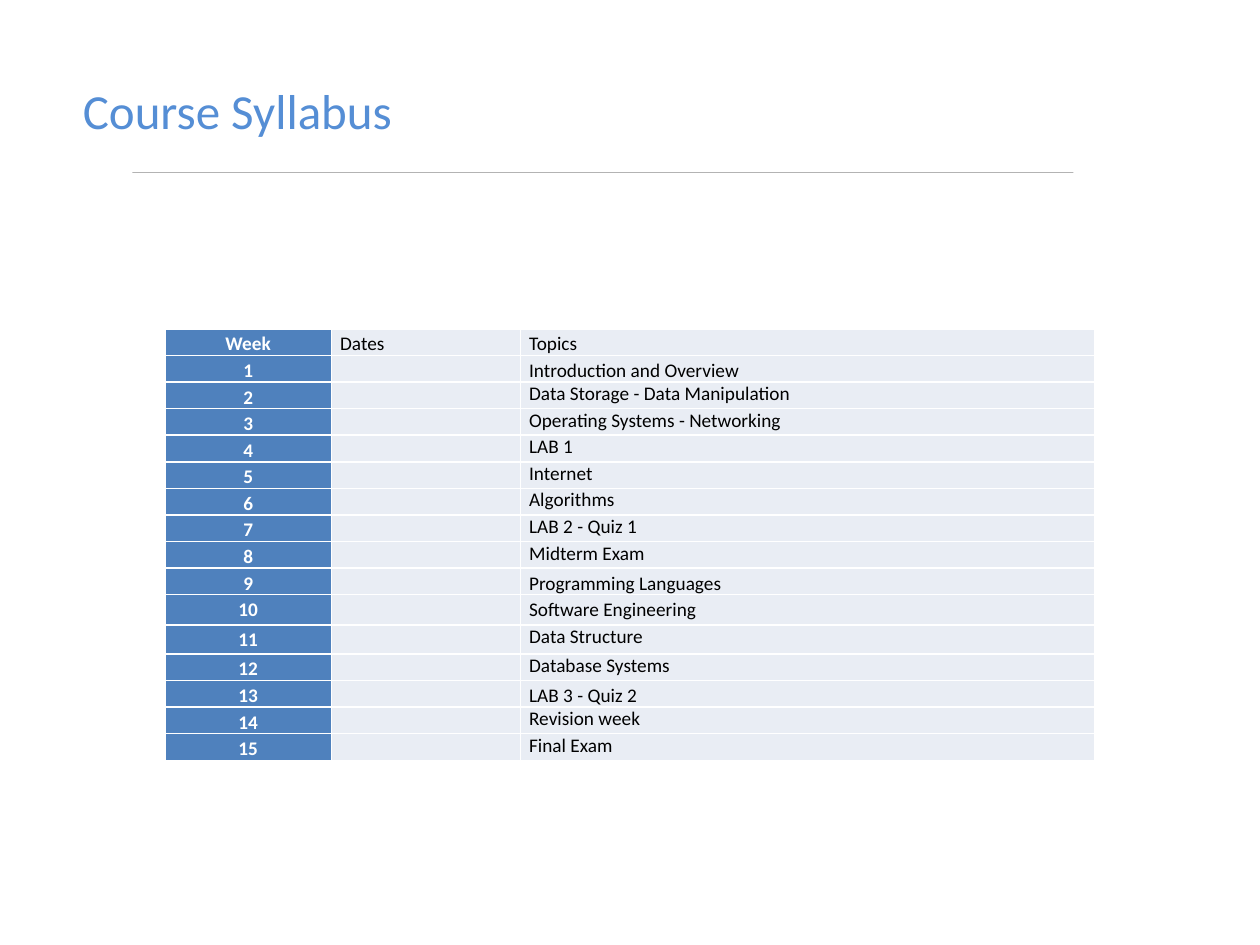
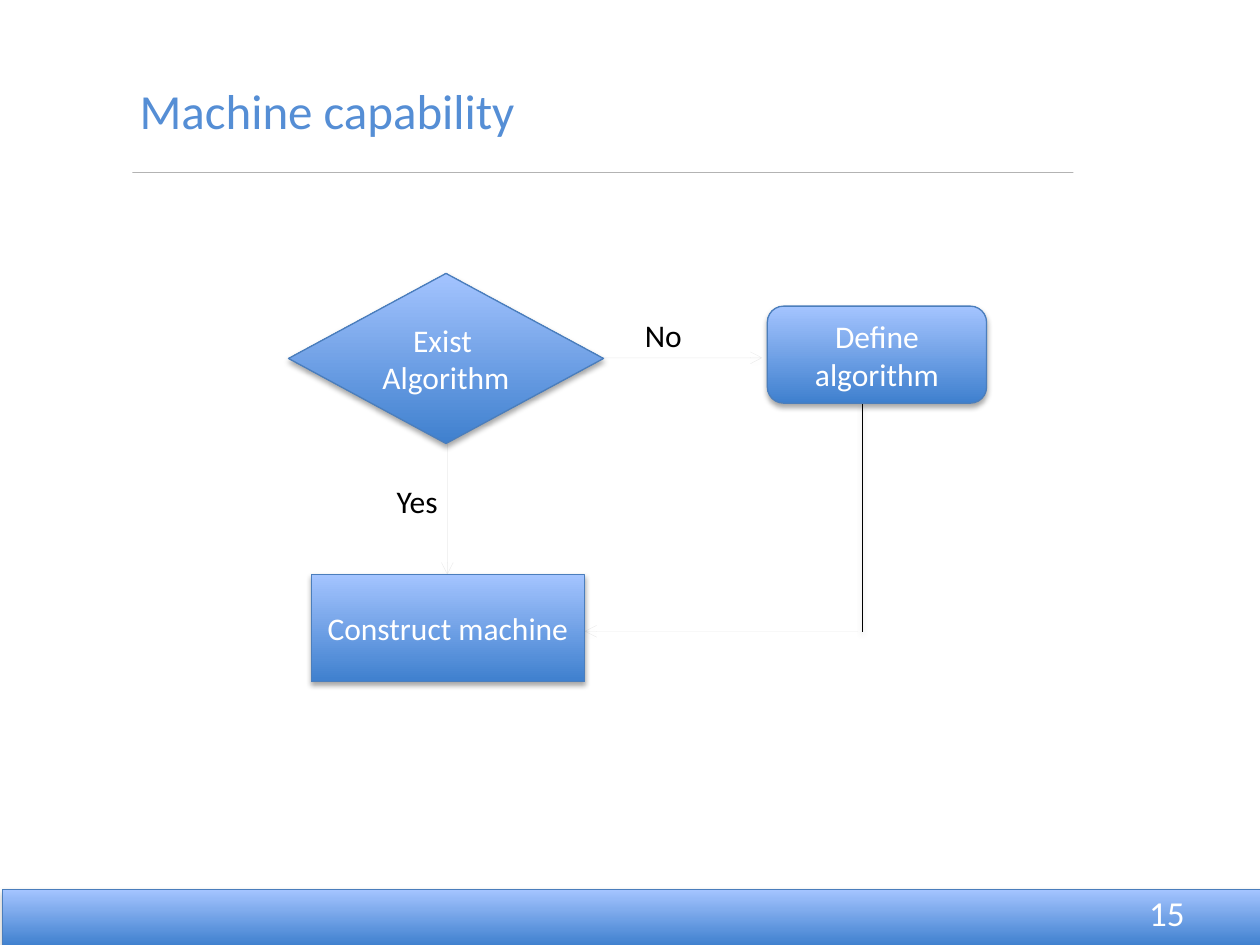
"""Build a course syllabus slide and a machine capability flowchart slide."""
from lxml.etree import SubElement
from pptx import Presentation
from pptx.dml.color import RGBColor
from pptx.enum.shapes import MSO_CONNECTOR, MSO_SHAPE
from pptx.enum.text import MSO_ANCHOR, PP_ALIGN
from pptx.oxml import parse_xml
from pptx.oxml.ns import qn
from pptx.util import Inches, Pt
from dataclasses import dataclass


@dataclass(frozen=True)
class Theme:
    font: str = "Calibri"
    title: str = "558ED5"
    black: str = "000000"
    white: str = "FFFFFF"
    week_fill: str = "4F81BD"
    cell_fill: str = "E9EDF4"
    gradient: tuple = ("3F80CE", "A4C4FF")
    outline: str = "4B7EBC"
    title_size: int = 28
    number_size: int = 20
    body_size: int = 18
    table_size: int = 11
    shadow: str = (
        '<a:effectLst xmlns:a="http://schemas.openxmlformats.org/drawingml/2006/main">'
        '<a:outerShdw blurRad="39370" dist="{distance}" dir="5400000" rotWithShape="0">'
        '<a:srgbClr val="000000"><a:alpha val="{alpha}"/></a:srgbClr>'
        "</a:outerShdw></a:effectLst>"
    )


theme = Theme()


def write_text(frame, lines, size, color, align=PP_ALIGN.LEFT, bold=False, spacing=None):
    for index, line in enumerate(lines):
        para = frame.paragraphs[0] if index == 0 else frame.add_paragraph()
        para.text = line
        para.alignment = align
        para.line_spacing = spacing
        para.font.name = theme.font
        para.font.size = Pt(size)
        para.font.bold = bold
        para.font.color.rgb = RGBColor.from_string(color)


def draw_line(page, start, end, opacity, arrow=False):
    points = [Inches(value) for value in (*start, *end)]
    line = page.shapes.add_connector(MSO_CONNECTOR.STRAIGHT, *points)
    line.line.width = Pt(0.25)
    line.line.color.rgb = RGBColor.from_string(theme.black)
    stroke = line.line._get_or_add_ln()
    color = stroke.find(".//" + qn("a:srgbClr"))
    SubElement(color, qn("a:alpha"), val=str(opacity * 1000))
    if arrow:
        SubElement(stroke, qn("a:tailEnd"), type="arrow")
    line._element.spPr.append(parse_xml(theme.shadow.format(distance=20320, alpha=38000)))


deck = Presentation()
deck.slide_width, deck.slide_height = Inches(10), Inches(7.5)

pages = []
for title, left in (("Course Syllabus", 0.56), ("Machine capability", 1.01)):
    page = deck.slides.add_slide(deck.slide_layouts[6])
    box = page.shapes.add_textbox(Inches(left), Inches(0.59), Inches(8.71), Inches(0.57))
    box.text_frame.word_wrap = True
    write_text(box.text_frame, [title], theme.title_size, theme.title)
    draw_line(page, (1.05, 1.37), (8.52, 1.37), 45)
    pages.append(page)
syllabus_page, flowchart_page = pages

topics = [
    "Topics",
    "Introduction and Overview",
    "Data Storage - Data Manipulation",
    "Operating Systems - Networking",
    "LAB 1",
    "Internet",
    "Algorithms",
    "LAB 2 - Quiz 1",
    "Midterm Exam",
    "Programming Languages",
    "Software Engineering",
    "Data Structure",
    "Database Systems",
    "LAB 3 - Quiz 2",
    "Revision week",
    "Final Exam",
]
loose_rows = (0, 1, 9, 10, 13)
tall_rows = {10: 0.24, 11: 0.23}
table = syllabus_page.shapes.add_table(
    len(topics), 3, Inches(1.31), Inches(2.61), Inches(7.38), Inches(3.4)
).table
for column, width in zip(table.columns, (1.32, 1.5, 4.56)):
    column.width = Inches(width)
for week, topic in enumerate(topics):
    table.rows[week].height = Inches(tall_rows.get(week, 0.21))
    texts = (str(week) if week else "Week", "" if week else "Dates", topic)
    for column, text in enumerate(texts):
        cell = table.cell(week, column)
        cell.margin_left = cell.margin_right = Inches(0.07)
        cell.margin_top = cell.margin_bottom = 0
        properties = cell._tc.get_or_add_tcPr()
        for side in ("a:lnL", "a:lnR", "a:lnT", "a:lnB"):
            border = SubElement(properties, qn(side), w=str(Pt(1)))
            SubElement(SubElement(border, qn("a:solidFill")), qn("a:srgbClr"), val=theme.white)
        is_week = column == 0
        cell.fill.solid()
        cell.fill.fore_color.rgb = RGBColor.from_string(
            theme.week_fill if is_week else theme.cell_fill
        )
        write_text(
            cell.text_frame,
            [text],
            theme.table_size,
            theme.white if is_week else theme.black,
            PP_ALIGN.CENTER if is_week else PP_ALIGN.LEFT,
            bold=is_week,
            spacing=1.15 if is_week or week in loose_rows else None,
        )
        if not text:
            para = cell.text_frame.paragraphs[0]
            SubElement(para._p, qn("a:endParaRPr"), sz=str(theme.table_size * 100))

arrows = [
    ((4.77, 2.84), (6.05, 2.84)),
    ((3.55, 3.52), (3.55, 4.56)),
    ((6.81, 5.01), (4.64, 5.01)),
]
for start, end in arrows:
    draw_line(flowchart_page, start, end, 8, arrow=True)
draw_line(flowchart_page, (6.84, 3.21), (6.84, 5.02), 100)

blocks = [
    (MSO_SHAPE.FLOWCHART_DECISION, (2.29, 2.17, 2.5, 1.35), ["Exist ", "Algorithm"]),
    (MSO_SHAPE.FLOWCHART_PROCESS, (2.47, 4.56, 2.17, 0.85), ["Construct machine"]),
    (MSO_SHAPE.FLOWCHART_ALTERNATE_PROCESS, (6.09, 2.43, 1.74, 0.77), ["Define algorithm"]),
    (MSO_SHAPE.RECTANGLE, (0.02, 7.06, 10, 0.45), []),
]
for kind, place, lines in blocks:
    block = flowchart_page.shapes.add_shape(kind, *[Inches(value) for value in place])
    block.fill.gradient()
    block.fill.gradient_angle = 90
    for stop, color in zip(block.fill.gradient_stops, theme.gradient):
        stop.color.rgb = RGBColor.from_string(color)
    block.line.color.rgb = RGBColor.from_string(theme.outline)
    block.line.width = Pt(0.75)
    block._element.spPr.append(parse_xml(theme.shadow.format(distance=22860, alpha=35000)))
    block.text_frame.vertical_anchor = MSO_ANCHOR.MIDDLE
    write_text(block.text_frame, lines, theme.body_size, theme.white, PP_ALIGN.CENTER)

for answer, left, top, width in (("No", 5.02, 2.46, 0.5), ("Yes", 3.05, 3.78, 0.55)):
    box = flowchart_page.shapes.add_textbox(
        Inches(left), Inches(top), Inches(width), Inches(0.4)
    )
    box.text_frame.word_wrap = False
    write_text(box.text_frame, [answer], theme.body_size, theme.black)

box = flowchart_page.shapes.add_textbox(Inches(7.17), Inches(7.04), Inches(2.33), Inches(0.4))
box.text_frame.word_wrap = True
box.text_frame.vertical_anchor = MSO_ANCHOR.MIDDLE
write_text(box.text_frame, ["15"], theme.number_size, theme.white, PP_ALIGN.RIGHT)

deck.save("out.pptx")
